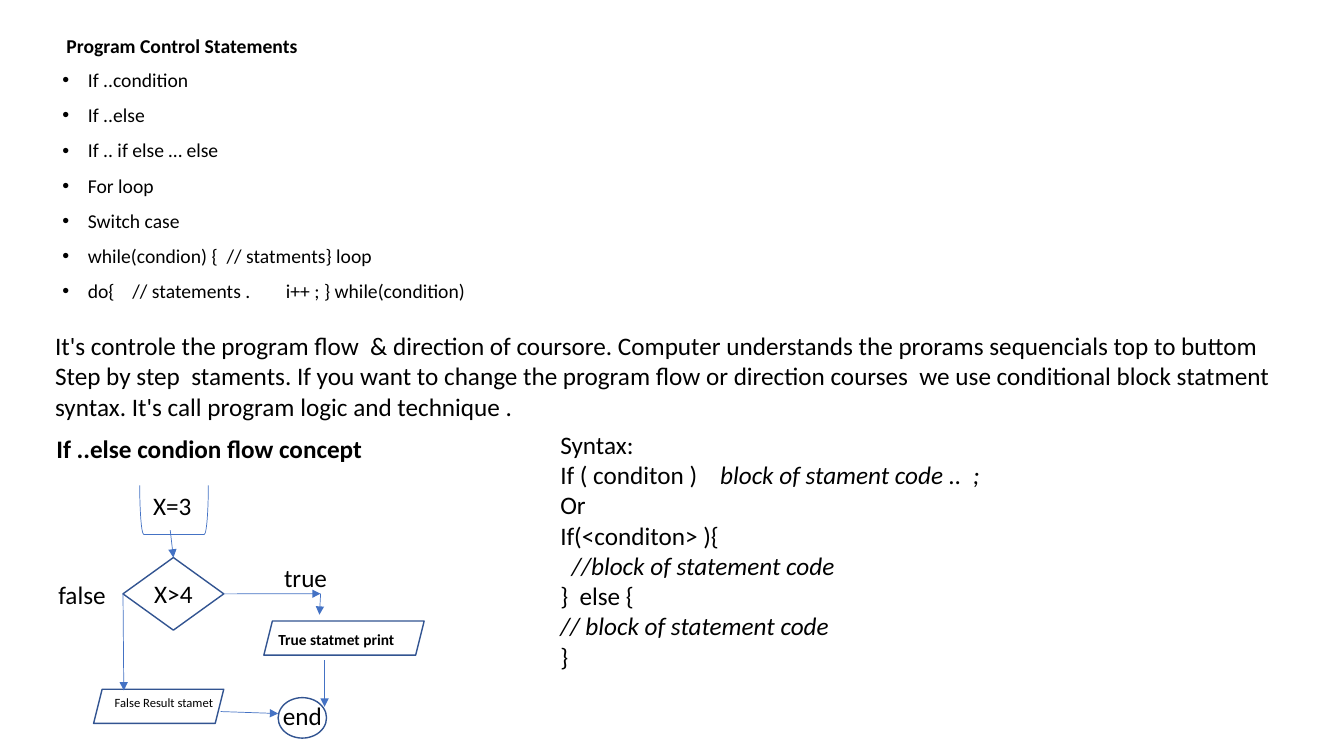
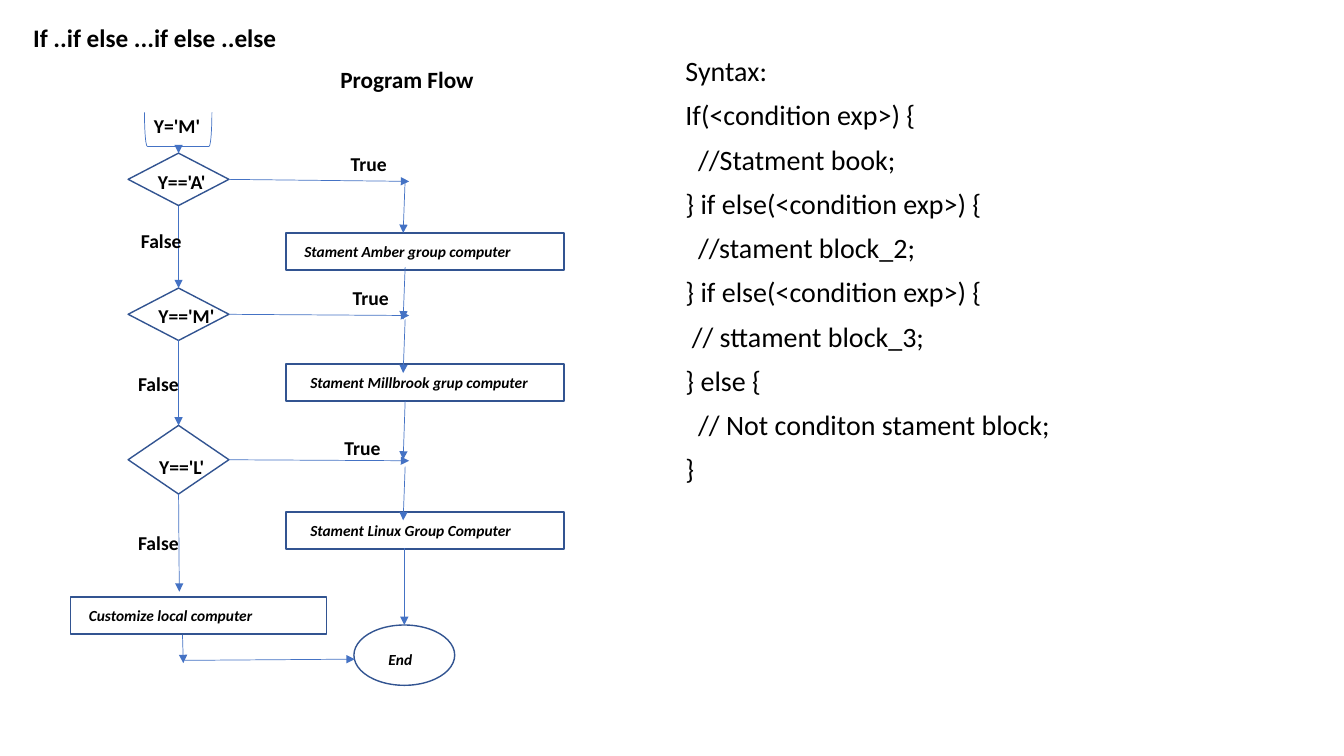
from dataclasses import dataclass
from typing import Optional, Union

from lxml.etree import SubElement
from pptx import Presentation
from pptx.dml.color import RGBColor
from pptx.enum.shapes import MSO_CONNECTOR as Link, MSO_SHAPE as Preset
from pptx.enum.text import MSO_ANCHOR as Anchor, MSO_AUTO_SIZE as AutoSize, PP_ALIGN as Align
from pptx.oxml.ns import qn
from pptx.shapes.autoshape import Shape
from pptx.slide import Slide
from pptx.text.text import TextFrame, _Paragraph as Paragraph
from pptx.util import Cm, Pt

COLOURS = {"text": "000000", "fill": "FFFFFF", "outline": "325491", "arrow": "4472C4"}
FONT = "Calibri"
TOP, LEFT, BOTTOM, RIGHT = range(4)


@dataclass(frozen=True)
class Frame:
    left: float
    top: float
    width: float
    height: float

    def lengths(self) -> tuple[Cm, Cm, Cm, Cm]:
        return Cm(self.left), Cm(self.top), Cm(self.width), Cm(self.height)


@dataclass(frozen=True)
class Span:
    text: str
    italic: bool = False


@dataclass(frozen=True)
class Style:
    size: float
    bold: bool = False
    italic: bool = False
    spacing: float = 1.0
    before: float = 0
    anchor: Anchor = Anchor.TOP


@dataclass(frozen=True)
class Node:
    name: str
    preset: Preset
    frame: Frame
    text: str
    style: Style
    shift: tuple[float, float] = (0, 0)
    indent: Optional[float] = None


@dataclass(frozen=True)
class Point:
    x: float
    y: float


@dataclass(frozen=True)
class Joint:
    node: str
    side: int


@dataclass(frozen=True)
class Arrow:
    start: Union[Point, Joint]
    end: Union[Point, Joint]


@dataclass(frozen=True)
class Label:
    left: float
    top: float
    text: str


Line = Union[str, list[Span]]

TITLE = Style(14, bold=True, spacing=0.9, anchor=Anchor.MIDDLE)
BIG_TITLE = Style(18, bold=True, spacing=0.9, anchor=Anchor.MIDDLE)
FLOW_TITLE = Style(16.6, bold=True, spacing=0.9, anchor=Anchor.MIDDLE)
LIST = Style(14, spacing=0.9, before=10)
CODE_LIST = Style(20, spacing=0.9, before=10)
PLAIN = Style(18)
HEADING = Style(18, bold=True)
TAG = Style(14, bold=True)
STEP = Style(11, bold=True, italic=True)


def colour(name: str) -> RGBColor:
    return RGBColor.from_string(COLOURS[name])


def add_span(para: Paragraph, span: Span, style: Style) -> None:
    run = para.add_run()
    run.text = span.text
    run.font.name = FONT
    run.font.size = Pt(style.size)
    run.font.bold = style.bold
    run.font.italic = style.italic or span.italic
    run.font.color.rgb = colour("text")


def set_bullet(para: Paragraph, bullet: str) -> None:
    """Give a list paragraph its bullet, or switch the template's bullet off."""
    properties = para._p.get_or_add_pPr()
    indent = Cm(0.64) if bullet else Cm(0)
    properties.set("marL", str(indent))
    properties.set("indent", str(-indent))
    if bullet:
        SubElement(properties, qn("a:buFont")).set("typeface", "Arial")
        SubElement(properties, qn("a:buChar")).set("char", bullet)
    else:
        SubElement(properties, qn("a:buNone"))


def write(frame: TextFrame, lines: list[Line], style: Style,
          align: Align = Align.LEFT, bullet: Optional[str] = None) -> None:
    frame.word_wrap = True
    frame.auto_size = AutoSize.NONE
    frame.vertical_anchor = style.anchor
    for number, line in enumerate(lines):
        para = frame.add_paragraph() if number else frame.paragraphs[0]
        if bullet is not None:
            set_bullet(para, bullet)
        para.alignment = align
        para.line_spacing = style.spacing
        para.space_before = Pt(style.before if number else 0)
        for span in [Span(line)] if isinstance(line, str) else line:
            add_span(para, span, style)


def fill_placeholder(page: Slide, index: int, frame: Frame, lines: list[Line],
                     style: Style, bullet: Optional[str] = None) -> None:
    box = page.placeholders[index]
    box.left, box.top, box.width, box.height = frame.lengths()
    write(box.text_frame, lines, style, bullet=bullet)


def add_text(page: Slide, frame: Frame, lines: list[Line], style: Style) -> None:
    write(page.shapes.add_textbox(*frame.lengths()).text_frame, lines, style)


def add_labels(page: Slide, labels: list[Label], style: Style) -> None:
    for label in labels:
        height = 1.02 if style.size > 14 else 0.86
        add_text(page, Frame(label.left, label.top, 1.9, height), [label.text], style)


def add_node(page: Slide, node: Node) -> Shape:
    """Draw a node; its text is centred and shifted, or left-aligned if it has an indent."""
    shape = page.shapes.add_shape(node.preset, *node.frame.lengths())
    shape.shadow.inherit = False
    shape.fill.solid()
    shape.fill.fore_color.rgb = colour("fill")
    shape.line.color.rgb = colour("outline")
    shape.line.width = Pt(1)
    frame = shape.text_frame
    indented = node.indent is not None
    write(frame, [node.text], node.style, Align.LEFT if indented else Align.CENTER)
    frame.word_wrap = indented
    frame.vertical_anchor = Anchor.MIDDLE
    across, down = node.shift
    frame.margin_left = Cm(node.indent if indented else max(0, 2 * across))
    frame.margin_right = Cm(max(0, -2 * across))
    frame.margin_top = Cm(max(0, 2 * down))
    frame.margin_bottom = Cm(max(0, -2 * down))
    return shape


def add_cup(page: Slide, frame: Frame) -> None:
    """Draw a bracket open at the top; the frame is the one seen after the turn."""
    middle_x, middle_y = frame.left + frame.width / 2, frame.top + frame.height / 2
    upright = Frame(middle_x - frame.height / 2, middle_y - frame.width / 2,
                    frame.height, frame.width)
    cup = page.shapes.add_shape(Preset.RIGHT_BRACKET, *upright.lengths())
    cup.rotation = 90
    cup.shadow.inherit = False
    cup.fill.background()
    cup.line.color.rgb = colour("arrow")
    cup.line.width = Pt(0.5)


def add_arrow(page: Slide, arrow: Arrow, shapes: dict[str, Shape]) -> None:
    ends = [end if isinstance(end, Point) else Point(0, 0) for end in (arrow.start, arrow.end)]
    line = page.shapes.add_connector(
        Link.STRAIGHT, *(Cm(value) for end in ends for value in (end.x, end.y)))
    for end, connect in ((arrow.start, line.begin_connect), (arrow.end, line.end_connect)):
        if isinstance(end, Joint):
            connect(shapes[end.node], end.side)
    line.line.color.rgb = colour("arrow")
    line.line.width = Pt(0.5)
    SubElement(line.line._get_or_add_ln(), qn("a:tailEnd")).set("type", "triangle")
    SubElement(line._element.spPr, qn("a:effectLst"))


def add_flow(page: Slide, cup: Frame, nodes: list[Node], arrows: list[Arrow]) -> None:
    add_cup(page, cup)
    shapes = {node.name: add_node(page, node) for node in nodes}
    for arrow in arrows:
        add_arrow(page, arrow, shapes)


def build_control_statements(page: Slide) -> None:
    fill_placeholder(page, 0, Frame(1.42, 0.76, 8.81, 0.86), ["Program Control Statements"], TITLE)
    fill_placeholder(page, 1, Frame(1.32, 1.65, 29.21, 6.55), [
        "If ..condition", "If ..else", "If .. if else … else", "For loop", "Switch case",
        "while(condion) {  // statments} loop",
        "do{    // statements .        i++ ; } while(condition)",
    ], LIST, bullet="•")
    add_text(page, Frame(1.14, 8.2, 32.03, 2.57), [
        "It's controle the program flow  & direction of coursore. Computer understands the "
        "prorams sequencials top to buttom Step by step  staments. If you want to change the "
        "program flow or direction courses  we use conditional block statment syntax. "
        "It's call program logic and technique ."], PLAIN)
    add_text(page, Frame(1.17, 10.8, 9.98, 1.02), ["If ..else condion flow concept"], HEADING)
    add_text(page, Frame(13.87, 10.69, 13.77, 7.19), [
        "Syntax:",
        [Span("If ( conditon )   "), Span(" block of stament code ..  ;", italic=True)],
        "Or",
        "If(<conditon> ){",
        [Span("  //block of statement code", italic=True)],
        "}  else {",
        [Span("// block of statement code", italic=True)],
        "}",
    ], PLAIN)
    nodes = [
        Node("test", Preset.DIAMOND, Frame(3.1, 14.05, 2.54, 1.83), "X>4", PLAIN),
        Node("false", Preset.PARALLELOGRAM, Frame(2.36, 17.37, 3.28, 0.86),
             "False Result stamet", Style(9), (0.13, -0.1)),
        Node("true", Preset.PARALLELOGRAM, Frame(6.65, 15.65, 4.04, 0.86),
             "True statmet print", Style(11, bold=True), (-0.19, 0.03)),
        Node("end", Preset.OVAL, Frame(7.01, 17.58, 1.22, 1.02), "end", PLAIN, (0, -0.05)),
    ]
    corner = Point(8.08, 14.96)
    add_flow(page, Frame(3.52, 12.23, 1.73, 1.24), nodes, [
        Arrow(Point(4.29, 13.36), Joint("test", TOP)),
        Arrow(Joint("test", RIGHT), corner),
        Arrow(corner, Point(8.05, 15.49)),
        Arrow(Joint("test", LEFT), Point(3.12, 17.4)),
        Arrow(Point(8.18, 16.64), Point(8.18, 17.81)),
        Arrow(Point(5.56, 17.93), Point(7.01, 17.98)),
    ])
    add_labels(page, [Label(3.61, 12.24, "X=3"), Label(6.91, 14.05, "true"),
                      Label(1.22, 14.48, "false")], PLAIN)


def build_else_if_chain(page: Slide) -> None:
    fill_placeholder(page, 0, Frame(0.58, 0.2, 17.42, 1.57),
                     ["If ..if else ...if else ..else"], BIG_TITLE)
    fill_placeholder(page, 1, Frame(17.02, 1.32, 13.51, 14.6), [
        "Syntax:", "If(<condition exp>) {", "  //Statment book;",
        "} if else(<condition exp>) {", "  //stament block_2;",
        "} if else(<condition exp>) {", " // sttament block_3;",
        "} else {", "  // Not conditon stament block;", "}",
    ], CODE_LIST, bullet="")
    add_text(page, Frame(8.33, 1.47, 4.2, 1.14), ["Program Flow"], FLOW_TITLE)

    tests = [("A", 3.86, 1.32, (0.08, 0.05)), ("M", 7.26, 1.32, (0.2, 0.03)),
             ("L", 10.72, 1.73, (0.08, 0.18))]
    steps = [("Stament Amber group computer", 5.87, 0.46),
             ("Stament Millbrook grup computer", 9.17, 0.61),
             ("Stament Linux Group Computer", 12.9, 0.61)]
    nodes = [Node(letter, Preset.DIAMOND, Frame(3.23, top, 2.54, height),
                  f"Y=='{letter}'", TAG, shift) for letter, top, height, shift in tests]
    nodes += [Node(text, Preset.RECTANGLE, Frame(7.21, top, 7.01, 0.94), text, STEP, indent=indent)
              for text, top, indent in steps]
    nodes += [
        Node("local", Preset.RECTANGLE, Frame(1.78, 15.04, 6.45, 0.94),
             "Customize local computer", STEP, indent=0.46),
        Node("end", Preset.OVAL, Frame(8.92, 15.75, 2.54, 1.52), "End", STEP, (-0.1, 0.1)),
    ]
    arrows = [Arrow(Joint(letter, RIGHT), Point(10.31, y))
              for letter, y in (("A", 4.57), ("M", 7.95), ("L", 11.61))]
    arrows += [Arrow(Point(10.21, start), Point(10.16, end)) for start, end in (
        (4.52, 5.87), (6.73, 8.05), (8.05, 9.4), (10.11, 11.58), (11.76, 13.11))]
    arrows += [
        Arrow(Point(10.19, 13.82), Point(10.19, 15.75)),
        Arrow(Point(4.5, 3.76), Joint("A", TOP)),
        Arrow(Joint("A", BOTTOM), Joint("M", TOP)),
        Arrow(Joint("M", BOTTOM), Joint("L", TOP)),
        Arrow(Joint("L", BOTTOM), Point(4.52, 14.91)),
        Arrow(Point(4.6, 16), Point(4.62, 16.71)),
        Arrow(Point(4.65, 16.64), Point(8.94, 16.61)),
    ]
    add_flow(page, Frame(3.64, 2.83, 1.7, 0.86), nodes, arrows)
    add_labels(page, [
        Label(3.63, 2.74, "Y='M'"),
        Label(8.59, 3.71, "True"), Label(8.64, 7.09, "True"), Label(8.43, 10.85, "True"),
        Label(3.3, 5.64, "False"), Label(3.23, 9.25, "False"), Label(3.23, 13.26, "False"),
    ], TAG)


def main() -> None:
    deck = Presentation()
    deck.slide_width, deck.slide_height = Cm(33.87), Cm(19.05)
    for build in (build_control_statements, build_else_if_chain):
        build(deck.slides.add_slide(deck.slide_layouts[1]))
    deck.save("out.pptx")


if __name__ == "__main__":
    main()
